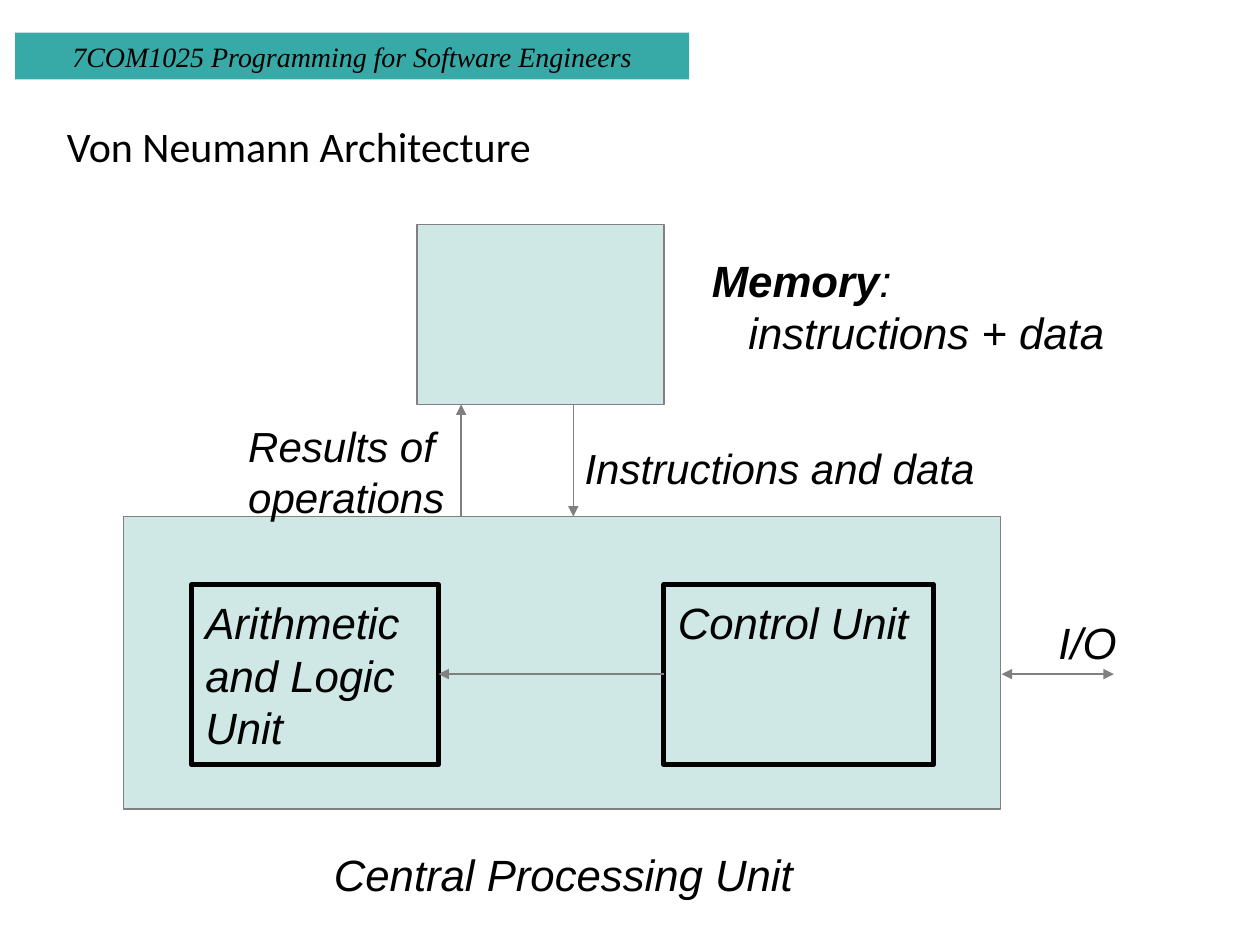
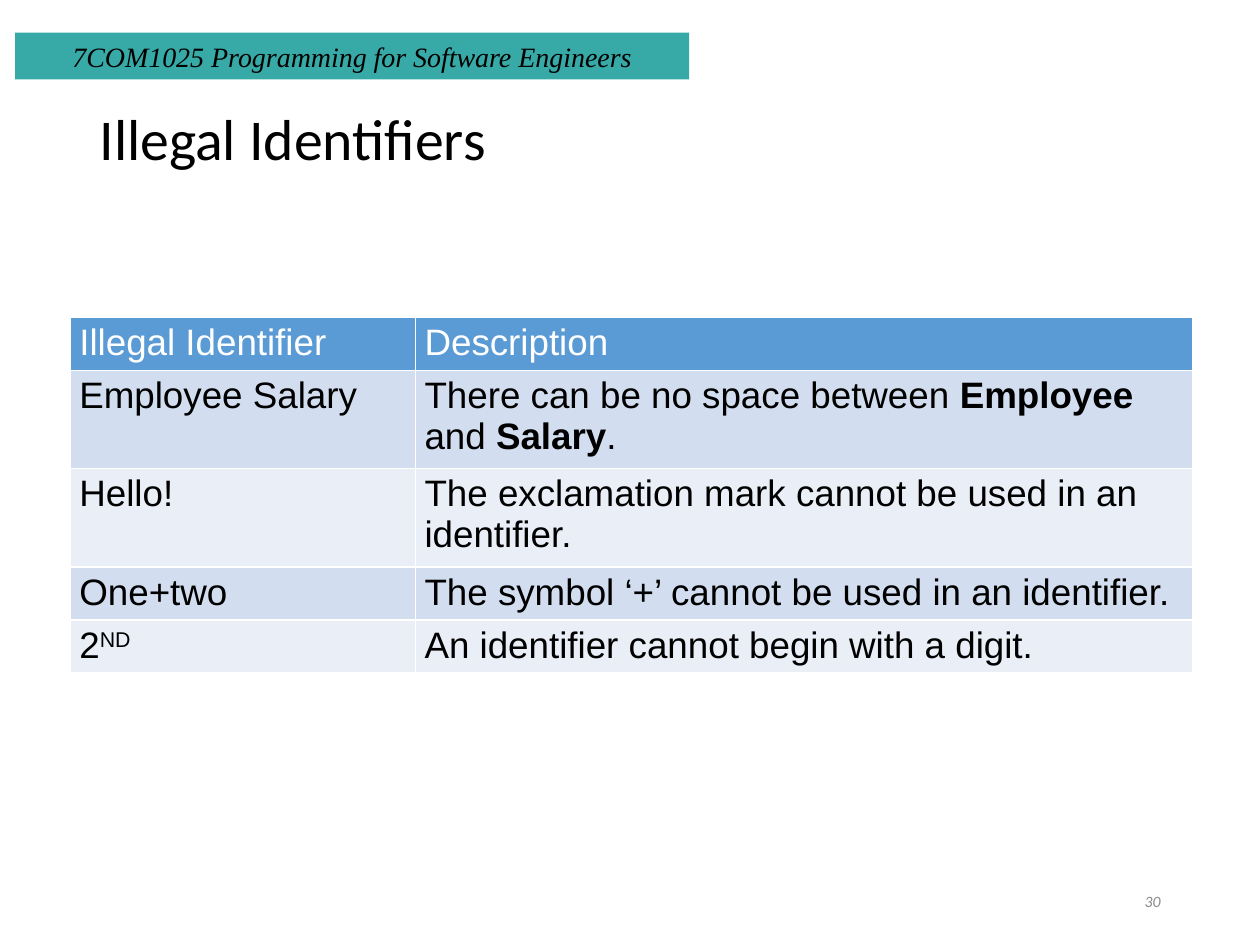
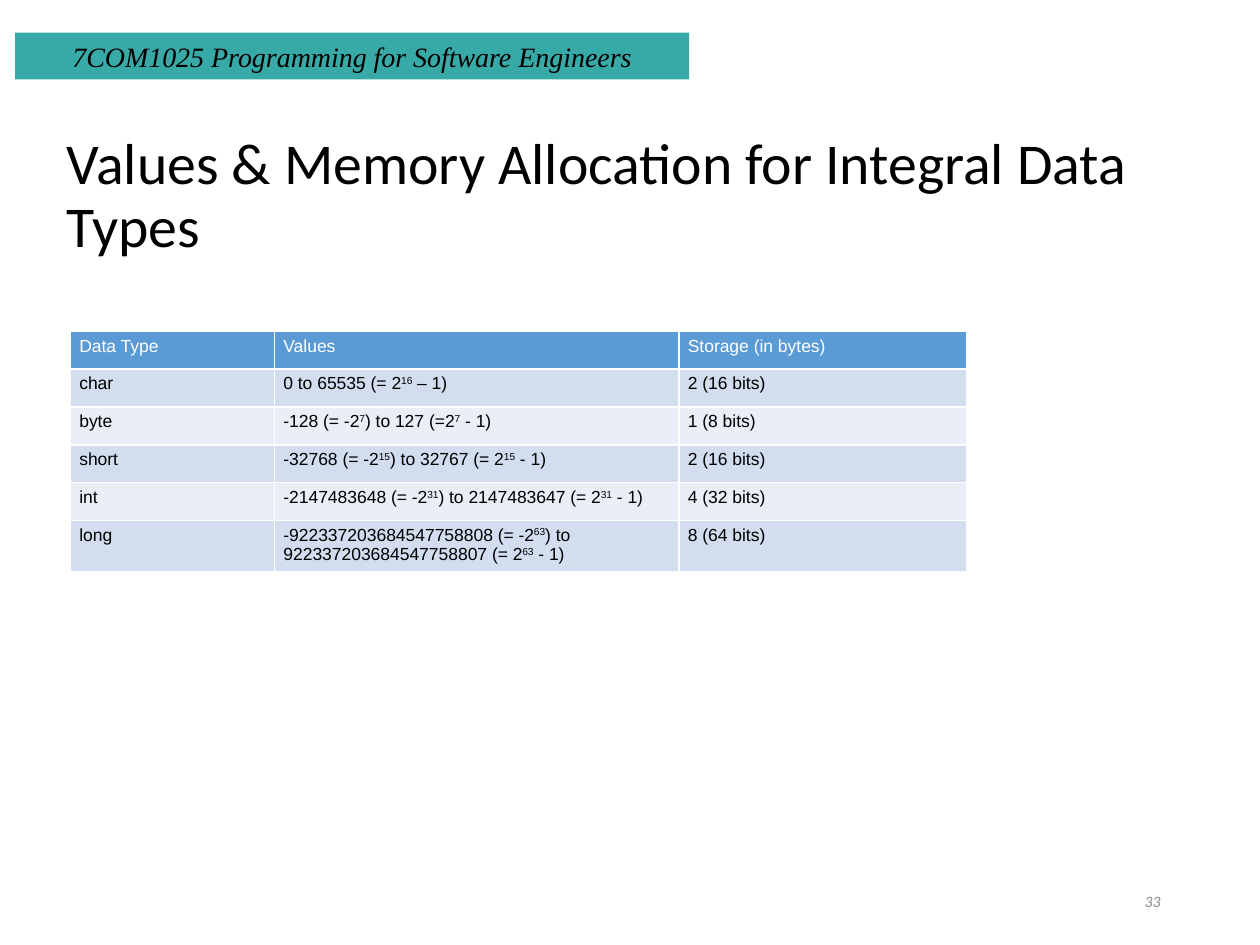
from pptx import Presentation
from pptx.dml.color import RGBColor
from pptx.enum.shapes import MSO_CONNECTOR, MSO_SHAPE
from pptx.enum.text import MSO_ANCHOR, MSO_AUTO_SIZE, PP_ALIGN
from pptx.oxml.ns import qn
from pptx.util import Inches, Pt
from lxml.etree import SubElement

COLORS = {
    "teal": "37AAA7", "pale_teal": "CFE7E5", "gray": "808080",
    "black": "000000", "white": "FFFFFF", "number": "8C8C8C",
    "header": "5B9BD5", "odd_row": "D2DEEF", "even_row": "EAEFF7",
}
UNIT_INSETS = (0.11, 0.09, 0.11, 0.06)
LABEL_INSETS = (0.09, 0.07, 0.09, 0.04)
CELL_INSETS = (0.07, 0.04, 0.07, 0.04)

COURSE = "7COM1025 Programming for Software Engineers"
IDENTIFIERS = [
    ("Illegal Identifier", "Description"),
    ("Employee Salary", "There can be no space between *Employee* and *Salary*."),
    ("Hello!", "The exclamation mark cannot be used in an identifier."),
    ("One+two", "The symbol ‘+’ cannot be used in an identifier."),
    ("2^ND^", "An identifier cannot begin with a digit."),
]
DATA_TYPES = [
    ("Data Type", "Values", "Storage (in bytes)"),
    ("char", "0 to 65535 (= 2^16^ – 1)", "2 (16 bits)"),
    ("byte", "-128 (= -2^7^) to 127 (=2^7^ - 1)", "1 (8 bits)"),
    ("short", "-32768 (= -2^15^) to 32767 (= 2^15^ - 1)", "2 (16 bits)"),
    ("int", "-2147483648 (= -2^31^) to 2147483647 (= 2^31^ - 1)", "4 (32 bits)"),
    ("long", "-922337203684547758808 (= -2^63^) to "
             "922337203684547758807 (= 2^63^ - 1)", "8 (64 bits)"),
]


def rgb(name):
    return RGBColor.from_string(COLORS[name])


def inches(box):
    return [Inches(length) for length in box]


def write_text(frame, *lines, size, font="Arial", color="black", italic=False,
               align=PP_ALIGN.LEFT, spacing=None):
    """Write lines in which *stars* mark bold and ^carets^ mark superscript."""
    for index, line in enumerate(lines):
        paragraph = frame.add_paragraph() if index else frame.paragraphs[0]
        paragraph.alignment = align
        if spacing:
            paragraph.line_spacing = spacing
        for bold, part in enumerate(line.split("*")):
            for raised, words in enumerate(part.split("^")):
                if not words:
                    continue
                run = paragraph.add_run()
                run.text = words
                run.font.size = Pt(size)
                run.font.name = font
                run.font.italic = italic
                run.font.bold = bold % 2 == 1
                run.font.color.rgb = rgb(color)
                if raised % 2:
                    run.font._element.set("baseline", "30000")


def set_insets(target, insets):
    (target.margin_left, target.margin_top,
     target.margin_right, target.margin_bottom) = inches(insets)


def add_rect(slide, box, fill=None, line=None, width=0.75):
    rect = slide.shapes.add_shape(MSO_SHAPE.RECTANGLE, *inches(box))
    rect.shadow.inherit = False
    if fill:
        rect.fill.solid()
        rect.fill.fore_color.rgb = rgb(fill)
    else:
        rect.fill.background()
    if line:
        rect.line.color.rgb = rgb(line)
        rect.line.width = Pt(width)
    else:
        rect.line.fill.background()
    return rect


def add_label(slide, box, *lines, wrap=False, size=25):
    frame = slide.shapes.add_textbox(*inches(box)).text_frame
    frame.word_wrap = wrap
    set_insets(frame, LABEL_INSETS)
    write_text(frame, *lines, size=size, italic=True)
    return frame


def add_arrow(slide, start, end, both=False):
    arrow = slide.shapes.add_connector(
        MSO_CONNECTOR.STRAIGHT, *inches(start), *inches(end))
    arrow.line.color.rgb = rgb("gray")
    arrow.line.width = Pt(0.75)
    outline = arrow.line._get_or_add_ln()
    for tag in ("a:headEnd", "a:tailEnd") if both else ("a:tailEnd",):
        SubElement(outline, qn(tag), type="triangle")
    SubElement(arrow._element.spPr, qn("a:effectLst"))


def add_course_band(slide, box):
    """Draw the course band and move it to the layout that all slides share."""
    band = add_rect(slide, box, fill="teal")
    band.text_frame.vertical_anchor = MSO_ANCHOR.MIDDLE
    write_text(band.text_frame, COURSE, size=16, font="Times New Roman",
               italic=True, align=PP_ALIGN.CENTER)
    band.element.nvSpPr.cNvPr.set("id", "50")
    slide.slide_layout.shapes.element.append(band.element)


def add_title(slide, box, text, size=33):
    title = slide.shapes.title
    title.left, title.top, title.width, title.height = inches(box)
    frame = title.text_frame
    frame.auto_size = MSO_AUTO_SIZE.NONE
    frame.word_wrap = True
    frame.vertical_anchor = MSO_ANCHOR.MIDDLE
    write_text(frame, text, size=size, font="Calibri", spacing=0.9)


def add_page_number(slide, box, number):
    frame = slide.shapes.add_textbox(*inches(box)).text_frame
    frame.word_wrap = True
    frame.vertical_anchor = MSO_ANCHOR.MIDDLE
    write_text(frame, str(number), size=9, font="Calibri", color="number",
               italic=True, align=PP_ALIGN.RIGHT)


def add_borders(cell):
    properties = cell._tc.get_or_add_tcPr()
    for side in "LRTB":
        line = SubElement(properties, qn(f"a:ln{side}"), w=str(Pt(1)))
        fill = SubElement(line, qn("a:solidFill"))
        SubElement(fill, qn("a:srgbClr"), val=COLORS["white"])


def add_banded_table(slide, left, top, rows, widths, heights, size):
    table = slide.shapes.add_table(
        len(rows), len(widths),
        *inches((left, top, sum(widths), sum(heights)))).table
    for column, width in zip(table.columns, widths):
        column.width = Inches(width)
    for r, (row, height) in enumerate(zip(rows, heights)):
        table.rows[r].height = Inches(height)
        band = "header" if r == 0 else "odd_row" if r % 2 else "even_row"
        for c, text in enumerate(row):
            cell = table.cell(r, c)
            set_insets(cell, CELL_INSETS)
            add_borders(cell)
            cell.fill.solid()
            cell.fill.fore_color.rgb = rgb(band)
            write_text(cell.text_frame, text, size=size,
                       color="black" if r else "white")


def add_architecture(slide, left, top):
    def at(x, y, *extent):
        return (left + x, top + y, *extent)

    # Processor and memory blocks
    add_rect(slide, at(0, 2.32, 6.96, 2.32), fill="pale_teal", line="gray")
    add_rect(slide, at(2.33, 0, 1.96, 1.43), fill="pale_teal", line="gray")

    # Units inside the processor
    for x, width, name in ((0.54, 1.96, "Arithmetic and Logic Unit"),
                           (4.29, 2.14, "Control Unit")):
        unit = add_rect(slide, at(x, 2.86, width, 1.43), line="black", width=2.83)
        unit.text_frame.vertical_anchor = MSO_ANCHOR.TOP
        set_insets(unit.text_frame, UNIT_INSETS)
        write_text(unit.text_frame, name, size=25, italic=True)

    # Flow of control, input and output, results and data
    add_arrow(slide, at(4.29, 3.57), at(2.5, 3.57))
    add_arrow(slide, at(6.97, 3.57), at(7.86, 3.57), both=True)
    add_arrow(slide, at(2.68, 2.32), at(2.68, 1.43))
    add_arrow(slide, at(3.57, 1.43), at(3.57, 2.32))

    # Labels
    add_label(slide, at(7.33, 3.04, 0.65, 0.48), "I/O")
    add_label(slide, at(0.9, 1.49, 1.79, 0.82), "Results of operations",
              wrap=True, size=24)
    add_label(slide, at(3.57, 1.66, 3.4, 0.45), "Instructions and data", size=24)
    memory = add_label(slide, at(4.58, 0.16, 3.57, 1.45), "*Memory*:",
                       "instructions + data", wrap=True)
    contents = memory.paragraphs[1]._p.get_or_add_pPr()
    contents.set("marL", str(Inches(0.29)))
    add_label(slide, at(1.58, 4.88, 3.89, 0.48), "Central Processing Unit")


def main():
    deck = Presentation()
    deck.slide_width, deck.slide_height = Inches(10), Inches(7.5)
    title_only = deck.slide_layouts[5]
    architecture, identifiers, data_types = (
        deck.slides.add_slide(title_only) for _ in range(3))
    add_course_band(architecture, (0.12, 0.26, 5.35, 0.37))

    # Von Neumann architecture
    add_title(architecture, (0.43, 0.6, 9, 1.16), "Von Neumann Architecture", size=24)
    add_architecture(architecture, 0.98, 1.78)

    # Illegal identifiers
    add_title(identifiers, (0.69, 0.4, 8.62, 1.45), "Illegal Identifiers")
    add_banded_table(identifiers, 0.56, 2.52, IDENTIFIERS, (2.74, 6.17),
                     (0.42, 0.78, 0.78, 0.42, 0.42), size=21)

    # Integral data types
    add_title(data_types, (0.43, 0.84, 8.62, 1.45),
              "Values & Memory Allocation for Integral Data Types")
    add_banded_table(data_types, 0.56, 2.63, DATA_TYPES, (1.62, 3.21, 2.28),
                     [0.3] * 5 + [0.41], size=10)

    for slide, number in ((identifiers, 30), (data_types, 33)):
        add_page_number(slide, (7.06, 6.95, 2.25, 0.4), number)
    deck.save("out.pptx")


if __name__ == "__main__":
    main()
